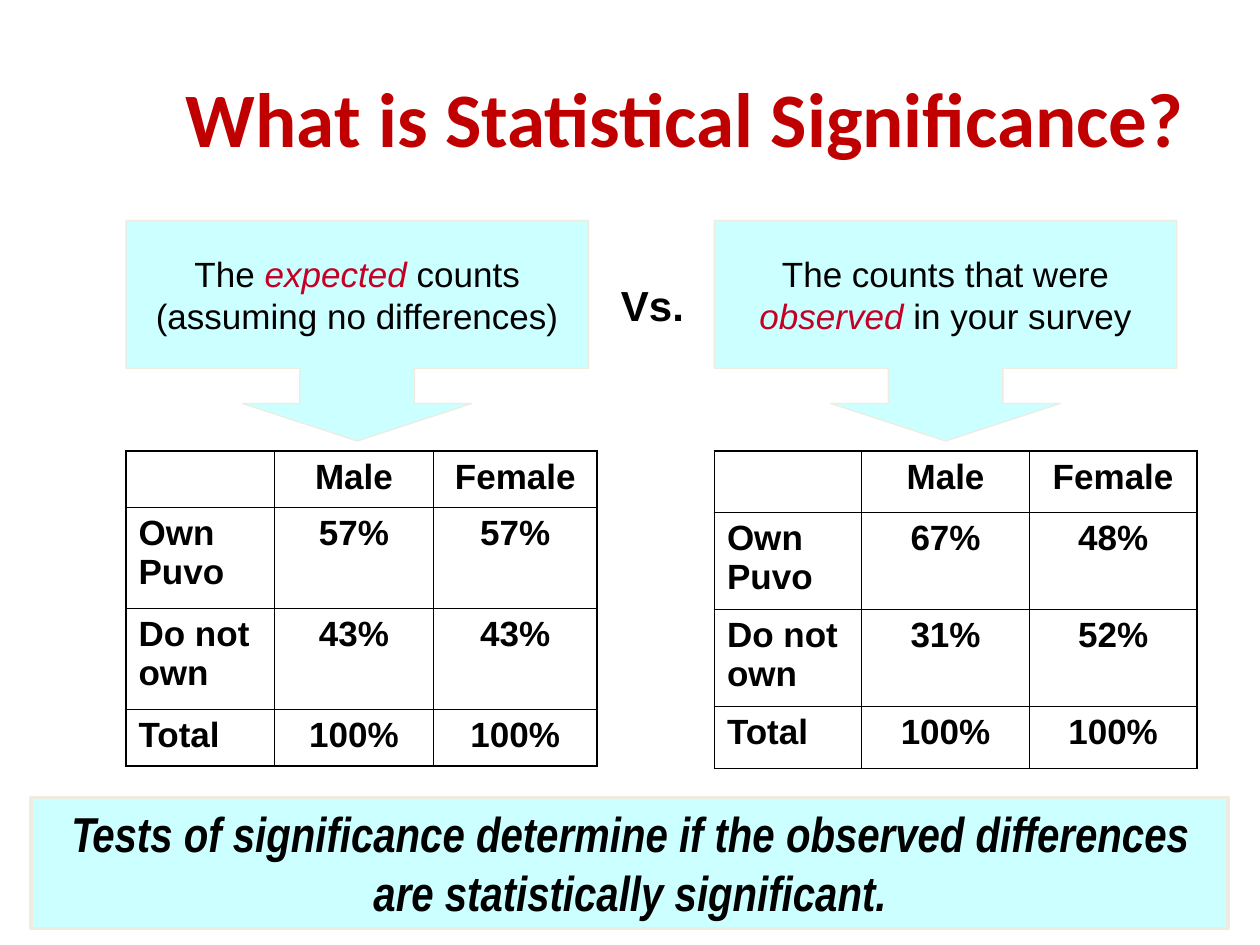
from lxml import etree
from pptx import Presentation
from pptx.dml.color import RGBColor
from pptx.enum import shapes, text
from pptx.oxml import ns
from pptx.util import Inches, Pt

BLACK = RGBColor(0x00, 0x00, 0x00)
TITLE_RED = RGBColor(0xC0, 0x00, 0x00)
EMPHASIS_RED = RGBColor(0xC4, 0x00, 0x25)
PALE_CYAN = RGBColor(0xCC, 0xFF, 0xFF)
CREAM = RGBColor(0xEE, 0xEC, 0xE1)

CENTER = text.PP_ALIGN.CENTER
LEFT = text.PP_ALIGN.LEFT
TOP = text.MSO_ANCHOR.TOP
MIDDLE = text.MSO_ANCHOR.MIDDLE


def write(frame, content, size=20, font="Arial", color=BLACK, bold=False,
          italic=False, align=LEFT, anchor=TOP):
    """Fill a text frame; words between asterisks are red and italic."""
    frame.word_wrap = True
    frame.vertical_anchor = anchor
    paragraph = frame.paragraphs[0]
    paragraph.alignment = align
    for index, part in enumerate(content.split("*")):
        emphasised = index % 2 == 1
        run = paragraph.add_run()
        run.text = part
        run.font.name = font
        run.font.size = Pt(size)
        run.font.bold = bold
        run.font.italic = italic or emphasised
        run.font.color.rgb = EMPHASIS_RED if emphasised else color


def set_borders(cell, outer_sides):
    """Draw all four cell borders, thicker on the table's outer sides."""
    properties = cell._tc.get_or_add_tcPr()
    for position, side in enumerate("LRTB"):
        width = Pt(1.08 if side in outer_sides else 0.45)
        line = etree.Element(ns.qn(f"a:ln{side}"), w=str(int(width)))
        fill = etree.SubElement(line, ns.qn("a:solidFill"))
        etree.SubElement(fill, ns.qn("a:srgbClr"), val=str(BLACK))
        properties.insert(position, line)


presentation = Presentation()
presentation.slide_width = Inches(10)
presentation.slide_height = Inches(7.5)
slide = presentation.slides.add_slide(presentation.slide_layouts[6])

title = slide.shapes.add_textbox(Inches(1), Inches(0.3), Inches(8.5), Inches(1.25))
write(title.text_frame, "What is Statistical Significance?", size=44, font="Calibri",
      color=TITLE_RED, bold=True, align=text.PP_ALIGN.RIGHT, anchor=MIDDLE)

# Each comparison: left edge, callout text, column widths, row heights, percentages
comparisons = [
    (1, "The *expected* counts (assuming no differences)",
     (1.18, 1.26, 1.3), (0.45, 0.8, 0.8, 0.45),
     [("57%", "57%"), ("43%", "43%")]),
    (5.67, "The counts that were *observed* in your survey",
     (1.17, 1.33, 1.33), (0.49, 0.77, 0.77, 0.49),
     [("67%", "48%"), ("31%", "52%")]),
]

for left, caption, widths, heights, percentages in comparisons:
    callout = slide.shapes.add_shape(
        shapes.MSO_SHAPE.DOWN_ARROW_CALLOUT,
        Inches(left), Inches(1.75), Inches(3.67), Inches(1.75))
    for index, adjustment in enumerate((0.52, 0.52, 0.17, 0.67)):
        callout.adjustments[index] = adjustment
    callout.shadow.inherit = False
    callout.fill.solid()
    callout.fill.fore_color.rgb = PALE_CYAN
    callout.line.color.rgb = CREAM
    callout.line.width = Pt(0.75)
    write(callout.text_frame, caption, align=CENTER, anchor=MIDDLE)

    rows = [
        ("", "Male", "Female"),
        ("Own Puvo", *percentages[0]),
        ("Do not own", *percentages[1]),
        ("Total", "100%", "100%"),
    ]
    table = slide.shapes.add_table(
        len(rows), len(widths), Inches(left), Inches(3.58),
        Inches(sum(widths)), Inches(sum(heights))).table
    table.first_row = False
    table.horz_banding = False
    for column, width in zip(table.columns, widths):
        column.width = Inches(width)
    for row_index, row in enumerate(rows):
        table.rows[row_index].height = Inches(heights[row_index])
        for column_index, value in enumerate(row):
            cell = table.cell(row_index, column_index)
            cell.fill.background()
            outer_sides = {0: "L", len(widths) - 1: "R"}.get(column_index, "")
            outer_sides += {0: "T", len(rows) - 1: "B"}.get(row_index, "")
            set_borders(cell, outer_sides)
            if value:
                write(cell.text_frame, value, bold=True,
                      align=CENTER if column_index else LEFT)

versus = slide.shapes.add_textbox(Inches(4.83), Inches(2.17), Inches(1.17), Inches(0.5))
write(versus.text_frame, "Vs.", size=24, bold=True)

conclusion = slide.shapes.add_shape(
    shapes.MSO_SHAPE.RECTANGLE, Inches(0.25), Inches(6.33), Inches(9.5), Inches(1.04))
conclusion.shadow.inherit = False
conclusion.fill.solid()
conclusion.fill.fore_color.rgb = PALE_CYAN
conclusion.line.color.rgb = CREAM
conclusion.line.width = Pt(2.25)
write(conclusion.text_frame,
      "Tests of significance determine if the observed differences are "
      "statistically significant.",
      size=28, font="Arial Narrow", bold=True, italic=True, align=CENTER)

presentation.save("out.pptx")
